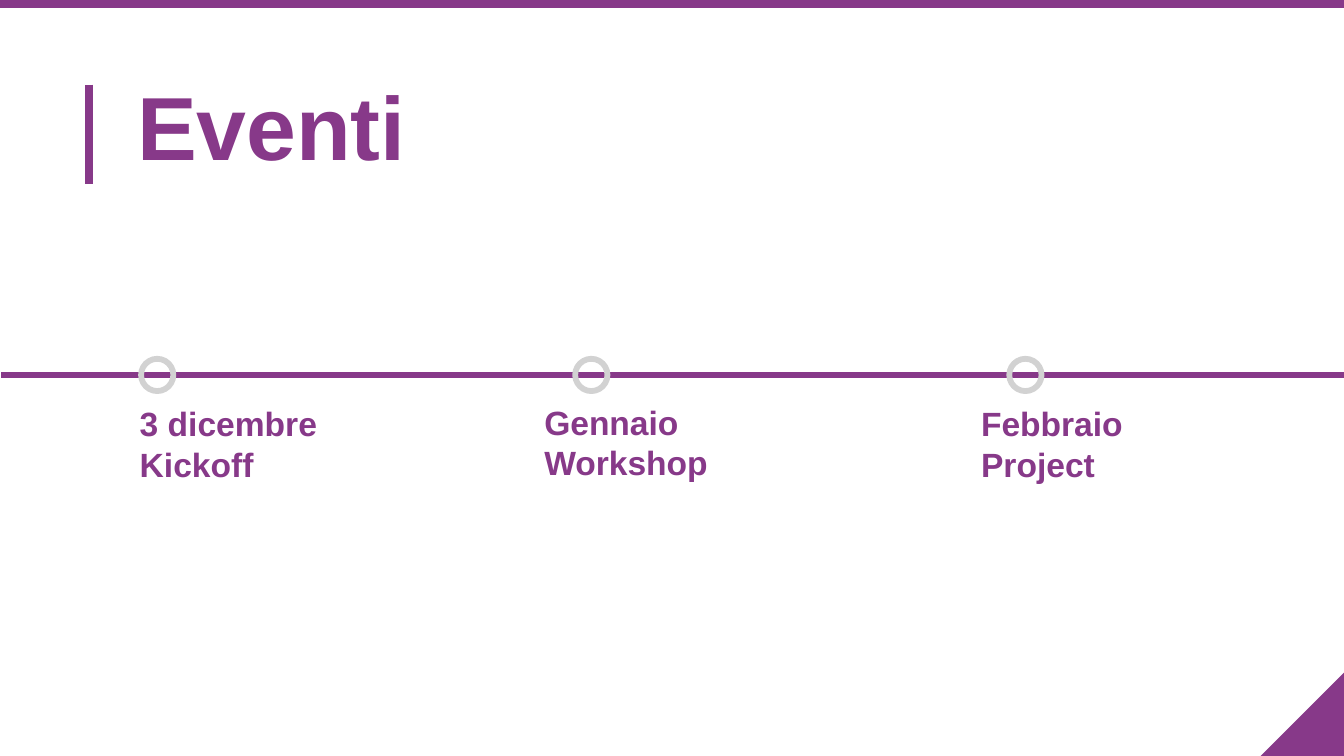
"""Build the "Eventi" timeline slide."""
from typing import NamedTuple

import pptx
import pptx.dml.color
import pptx.enum.shapes
import pptx.enum.text
import pptx.oxml
import pptx.oxml.ns
import pptx.util

Inches = pptx.util.Inches
PURPLE = "873989"
GRAY = "D2D2D2"
WIDTH = 10
HEIGHT = WIDTH * 9 / 16
AXIS_Y = 2.79
FIRST_MARKER, MARKER_STEP, MARKER_SIZE = 1.17, 3.23, 0.24
CORNER = 0.62


class Event(NamedTuple):
    paragraphs: tuple[str, ...]
    left: float
    top: float
    width: float


class Rule(NamedTuple):
    start: tuple[float, float]
    end: tuple[float, float]
    weight: float


EVENTS = (
    Event(("3 dicembre Kickoff",), 1.03, 2.99, 1.52),
    Event(("Gennaio", "Workshop"), 4.04, 2.98, 1.34),
    Event(("Febbraio Project",), 7.29, 2.99, 1.26),
)
RULES = (
    Rule((0.66, 0.63), (0.66, 1.37), 4.32),
    Rule((0, 0.03), (WIDTH, 0.03), 4.32),
    Rule((0.01, AXIS_Y), (WIDTH, AXIS_Y), 3.12),
)


def color(value: str) -> pptx.dml.color.RGBColor:
    return pptx.dml.color.RGBColor.from_string(value)


def write_text(shape, *paragraphs: str, size: float) -> None:
    frame = shape.text_frame
    frame.word_wrap = True
    frame.auto_size = pptx.enum.text.MSO_AUTO_SIZE.NONE
    frame.vertical_anchor = pptx.enum.text.MSO_ANCHOR.TOP
    frame.margin_left = frame.margin_top = Inches(0.01)
    frame.margin_right = frame.margin_bottom = 0
    frame.text = "\n".join(paragraphs)
    for paragraph in frame.paragraphs:
        paragraph.alignment = pptx.enum.text.PP_ALIGN.LEFT
        paragraph.line_spacing = 1.0
        paragraph.space_before = pptx.util.Pt(0)
        paragraph.font.name = "Arial"
        paragraph.font.size = pptx.util.Pt(size)
        paragraph.font.bold = True
        paragraph.font.color.rgb = color(PURPLE)


def draw_rule(slide, rule: Rule) -> None:
    connector = slide.shapes.add_connector(
        pptx.enum.shapes.MSO_CONNECTOR.STRAIGHT, *map(Inches, rule.start + rule.end)
    )
    connector.line.color.rgb = color(PURPLE)
    connector.line.width = pptx.util.Pt(rule.weight)
    properties = connector.element.find(pptx.oxml.ns.qn("p:spPr"))
    properties.append(properties.makeelement(pptx.oxml.ns.qn("a:effectLst"), {}))


def draw_marker(slide, center: float) -> None:
    marker = slide.shapes.add_shape(
        pptx.enum.shapes.MSO_SHAPE.OVAL,
        Inches(center - MARKER_SIZE / 2),
        Inches(AXIS_Y - MARKER_SIZE / 2),
        Inches(MARKER_SIZE),
        Inches(MARKER_SIZE),
    )
    marker.shadow.inherit = False
    marker.fill.background()
    marker.line.color.rgb = color(GRAY)
    marker.line.width = pptx.util.Pt(3.12)


def draw_corner(slide) -> None:
    builder = slide.shapes.build_freeform(Inches(WIDTH), Inches(HEIGHT - CORNER))
    builder.add_line_segments(
        [(Inches(WIDTH - CORNER), Inches(HEIGHT)), (Inches(WIDTH), Inches(HEIGHT))]
    )
    corner = builder.convert_to_shape()
    corner.shadow.inherit = False
    corner.fill.solid()
    corner.fill.fore_color.rgb = color(PURPLE)
    corner.line.fill.background()


def draw_label(slide, event: Event) -> None:
    label = slide.shapes.add_textbox(
        Inches(event.left), Inches(event.top), Inches(event.width), Inches(0.63)
    )
    write_text(label, *event.paragraphs, size=18)


def main() -> None:
    presentation = pptx.Presentation()
    presentation.slide_width, presentation.slide_height = Inches(WIDTH), Inches(HEIGHT)
    slide = presentation.slides.add_slide(presentation.slide_layouts[5])

    title = slide.shapes.title
    title.left, title.top = Inches(1.01), Inches(0.52)
    title.width, title.height = Inches(2.46), Inches(0.46)
    write_text(title, "Eventi", size=48)

    draw_corner(slide)
    for rule in RULES:
        draw_rule(slide, rule)
    for index, event in enumerate(EVENTS):
        draw_marker(slide, FIRST_MARKER + index * MARKER_STEP)
        draw_label(slide, event)
    presentation.save("out.pptx")


if __name__ == "__main__":
    main()
